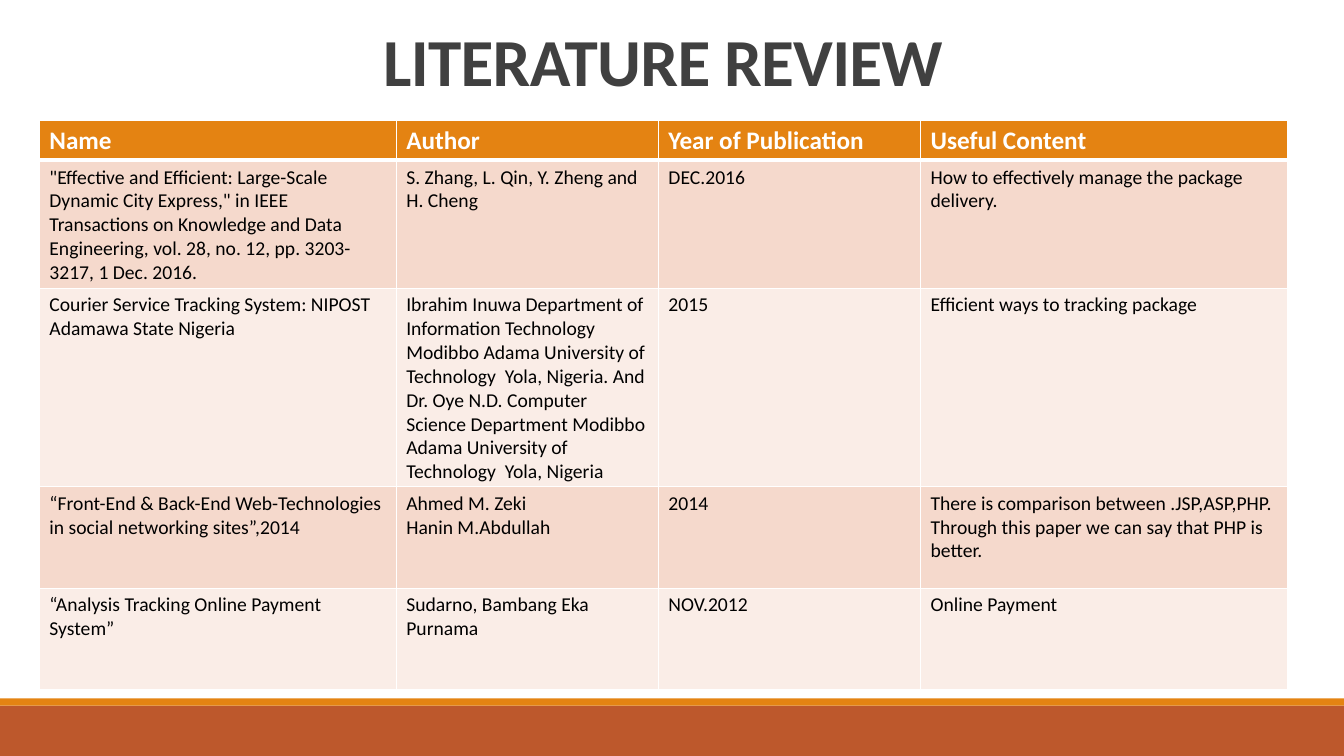
from lxml.etree import SubElement
from pptx import Presentation
from pptx.dml.color import RGBColor
from pptx.enum.shapes import MSO_SHAPE
from pptx.enum.text import MSO_ANCHOR, PP_ALIGN
from pptx.oxml.ns import qn
from pptx.util import Pt

PX = 9144
FONT = "Calibri"
WHITE, ORANGE, RUST = "FFFFFF", "E48312", "BD582C"
BANDS = ["F5D9CC", "FAEDE7"]
COLUMN_WIDTHS = [354, 260, 260, 364]
ROW_HEIGHTS = [39, 124, 192, 101, 101]
REVIEW = [
    ["Name", "Author", "Year of Publication", "Useful Content"],
    ['"Effective and Efficient: Large-Scale Dynamic City Express," in IEEE Transactions on '
     "Knowledge and Data Engineering, vol. 28, no. 12, pp. 3203-3217, 1 Dec. 2016.",
     "S. Zhang, L. Qin, Y. Zheng and H. Cheng",
     "DEC.2016",
     "How to effectively manage the package delivery."],
    ["Courier Service Tracking System: NIPOST Adamawa State Nigeria",
     "Ibrahim Inuwa Department of Information Technology Modibbo Adama University of "
     "Technology  Yola, Nigeria. And Dr. Oye N.D. Computer Science Department "
     "Modibbo Adama University of Technology  Yola, Nigeria",
     "2015",
     "Efficient ways to tracking package"],
    ["“Front-End & Back-End Web-Technologies in social networking sites”,2014",
     "Ahmed M. Zeki\nHanin M.Abdullah",
     "2014",
     "There is comparison between .JSP,ASP,PHP. Through this paper we can say that "
     "PHP is better."],
    ["“Analysis Tracking Online Payment System”",
     "Sudarno, Bambang Eka Purnama",
     "NOV.2012",
     "Online Payment"],
]


def px(*lengths):
    return [length * PX for length in lengths]


def color(hex_code):
    return RGBColor.from_string(hex_code)


def add_run(paragraph, text, size, hex_code, bold):
    run = paragraph.add_run()
    run.text = text
    run.font.name = FONT
    run.font.size = Pt(size)
    run.font.bold = bold
    run.font.color.rgb = color(hex_code)
    return run


def add_footer(slide, left, top, width, height):
    stripe = 7
    bands = [(top + stripe, height - stripe, RUST), (top, stripe, ORANGE)]
    for band_top, band_height, fill in bands:
        band = slide.shapes.add_shape(
            MSO_SHAPE.RECTANGLE, *px(left, band_top, width, band_height))
        band.shadow.inherit = False
        band.fill.solid()
        band.fill.fore_color.rgb = color(fill)
        band.line.fill.background()


def add_title(slide, left, top, width, height):
    frame = slide.shapes.add_textbox(*px(left, top, width, height)).text_frame
    frame.word_wrap = True
    frame.vertical_anchor = MSO_ANCHOR.BOTTOM
    heading = frame.paragraphs[0]
    heading.alignment = PP_ALIGN.CENTER
    heading.line_spacing = 0.85
    run = add_run(heading, "LITERATURE REVIEW", 48, "404040", True)
    run.font._element.set("spc", "-50")


def add_borders(cell, top, bottom):
    properties = cell._tc.get_or_add_tcPr()
    for side, points in [("L", 1), ("R", 1), ("T", top), ("B", bottom)]:
        border = SubElement(properties, qn(f"a:ln{side}"), w=str(Pt(points)))
        fill = SubElement(border, qn("a:solidFill"))
        SubElement(fill, qn("a:srgbClr"), val=WHITE)


def fill_cell(cell, text, row):
    header = row == 0
    add_borders(cell, 3 if row == 1 else 1, 3 if header else 1)
    cell.fill.solid()
    cell.fill.fore_color.rgb = color(ORANGE if header else BANDS[(row - 1) % 2])
    for index, line in enumerate(text.split("\n")):
        frame = cell.text_frame
        paragraph = frame.add_paragraph() if index else frame.paragraphs[0]
        add_run(paragraph, line, 18 if header else 14,
                WHITE if header else "000000", header)


def add_review(slide, left, top, width, height):
    table = slide.shapes.add_table(
        len(REVIEW), len(COLUMN_WIDTHS), *px(left, top, width, height)).table
    for column, column_width in zip(table.columns, px(*COLUMN_WIDTHS)):
        column.width = column_width
    for row, row_height in zip(table.rows, px(*ROW_HEIGHTS)):
        row.height = row_height
    for row, entry in enumerate(REVIEW):
        for column, text in enumerate(entry):
            fill_cell(table.cell(row, column), text, row)


def main():
    deck = Presentation()
    deck.slide_width, deck.slide_height = px(1333, 750)
    slide = deck.slides.add_slide(deck.slide_layouts[6])
    add_footer(slide, 0, 693, 1333, 57)
    add_title(slide, 191, 10, 933, 94)
    add_review(slide, 39, 119, sum(COLUMN_WIDTHS), sum(ROW_HEIGHTS))
    deck.save("out.pptx")


if __name__ == "__main__":
    main()
